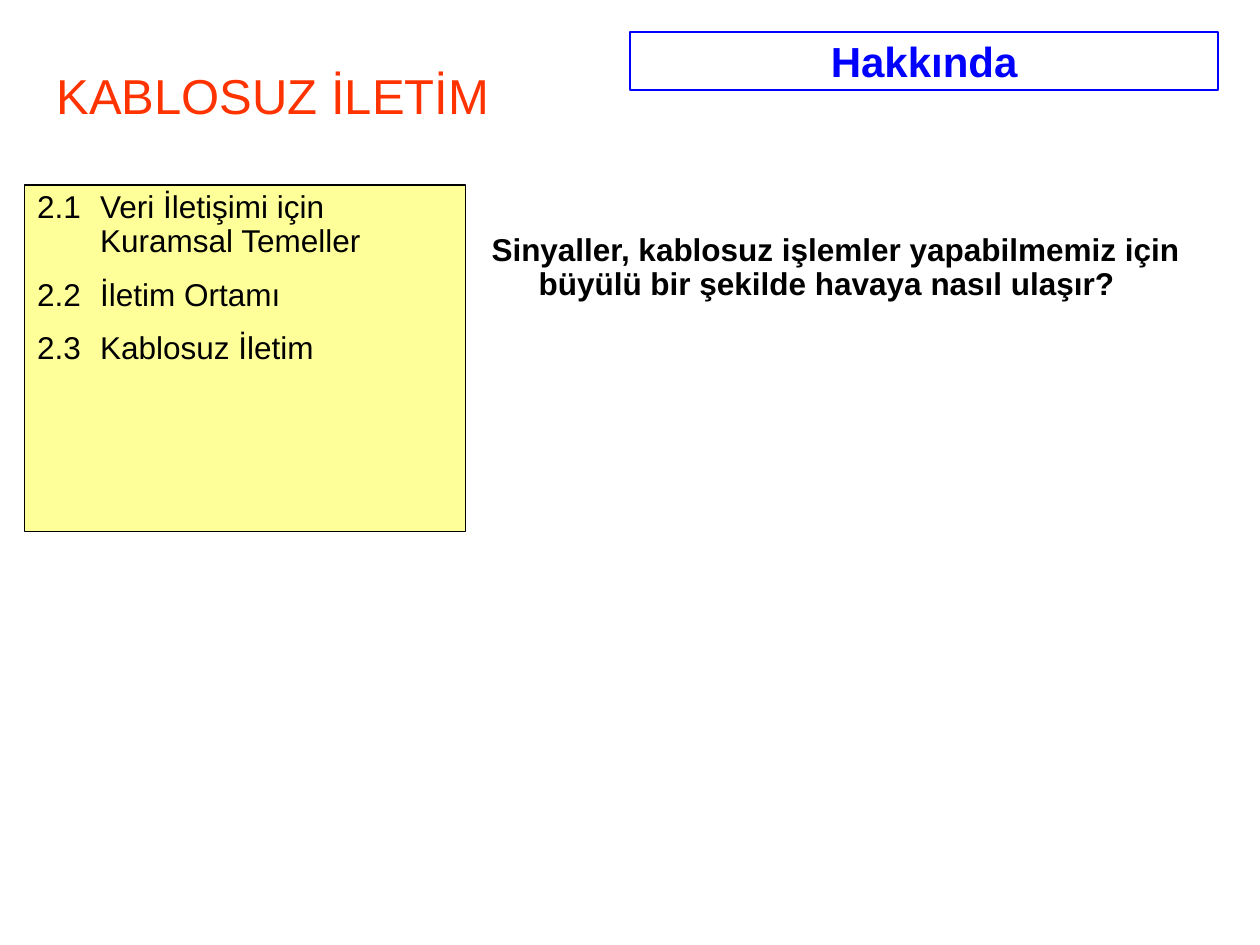
import pptx
import pptx.dml.color
import pptx.enum.shapes
import pptx.enum.text
import pptx.util
from lxml import etree

Cm, Pt = pptx.util.Cm, pptx.util.Pt
COLORS = {"title": "FF3300", "accent": "0000FF", "text": "000000", "panel": "FFFF99"}
ALIGN = pptx.enum.text.PP_ALIGN
ANCHOR = pptx.enum.text.MSO_ANCHOR
WIDE, NARROW = (0.25, 0.13), (0.18, 0.08)


def rgb(name):
    return pptx.dml.color.RGBColor.from_string(COLORS[name])


class Deck:
    """Holds the presentation, its text style and the current slide."""

    font = "Arial"

    def __init__(self, width, height):
        self.prs = pptx.Presentation()
        self.prs.slide_width, self.prs.slide_height = Cm(width), Cm(height)
        self.s = self.prs.slides.add_slide(self.prs.slide_layouts[5])

    def set_text(self, sp, lines, size, color, bold=False, align=ALIGN.LEFT,
                 anchor=ANCHOR.TOP, insets=NARROW, hang=0, spacing=1.0, before=0):
        """Fill a shape with paragraphs; hang is the hanging indent in cm."""
        tf = sp.text_frame
        tf.text = "\n".join(lines)
        tf.word_wrap = True
        tf.auto_size = pptx.enum.text.MSO_AUTO_SIZE.NONE
        tf.vertical_anchor = anchor
        tf.margin_left = tf.margin_right = Cm(insets[0])
        tf.margin_top = tf.margin_bottom = Cm(insets[1])
        for i, p in enumerate(tf.paragraphs):
            p.alignment = align
            p.line_spacing = spacing
            p.space_before = Pt(before if i else 0)
            if hang:
                pPr = p._p.get_or_add_pPr()
                pPr.set("marL", str(Cm(hang)))
                pPr.set("indent", str(-Cm(hang)))
                tabs = etree.SubElement(pPr, pptx.oxml.ns.qn("a:tabLst"))
                etree.SubElement(tabs, pptx.oxml.ns.qn("a:tab"),
                                 pos=str(Cm(hang)), algn="l")
            for r in p.runs:
                r.font.name, r.font.size, r.font.bold = self.font, Pt(size), bold
                r.font.color.rgb = rgb(color)

    def title(self, text, left, top, width, height, **style):
        sp = self.s.shapes.title
        sp.left, sp.top, sp.width, sp.height = map(Cm, (left, top, width, height))
        self.set_text(sp, [text], **style)

    def text(self, lines, left, top, width, height, **style):
        sp = self.s.shapes.add_textbox(*map(Cm, (left, top, width, height)))
        self.set_text(sp, lines, **style)

    def box(self, lines, left, top, width, height, line, weight, fill=None, **style):
        sp = self.s.shapes.add_shape(pptx.enum.shapes.MSO_SHAPE.RECTANGLE,
                                     *map(Cm, (left, top, width, height)))
        sp.shadow.inherit = False
        if fill:
            sp.fill.solid()
            sp.fill.fore_color.rgb = rgb(fill)
        else:
            sp.fill.background()
        sp.line.color.rgb = rgb(line)
        sp.line.width = Pt(weight)
        self.set_text(sp, lines, **style)


def main():
    deck = Deck(25.4, 19.05)
    deck.title("KABLOSUZ İLETİM", 0.84, 0.64, 9.32, 2.54, size=28, color="title",
               align=ALIGN.CENTER, anchor=ANCHOR.MIDDLE, insets=WIDE)
    deck.box(["Hakkında"], 12.7, 0.64, 11.86, 1.17, line="accent", weight=1,
             size=24, color="accent", bold=True, align=ALIGN.CENTER)
    deck.text(["Sinyaller, kablosuz işlemler yapabilmemiz için büyülü bir "
               "şekilde havaya nasıl ulaşır?"],
              9.73, 4.65, 15.24, 1.52, size=18, color="text", bold=True,
              hang=0.95, spacing=0.9)
    topics = ["Veri İletişimi için Kuramsal Temeller", "İletim Ortamı", "Kablosuz İletim"]
    deck.box([f"2.{n}\t{topic}" for n, topic in enumerate(topics, 1)],
             0.5, 3.73, 8.89, 6.99, line="text", weight=0.75, fill="panel",
             size=18, color="text", insets=WIDE, hang=1.27, spacing=0.9, before=11.2)
    deck.prs.save("out.pptx")


if __name__ == "__main__":
    main()
